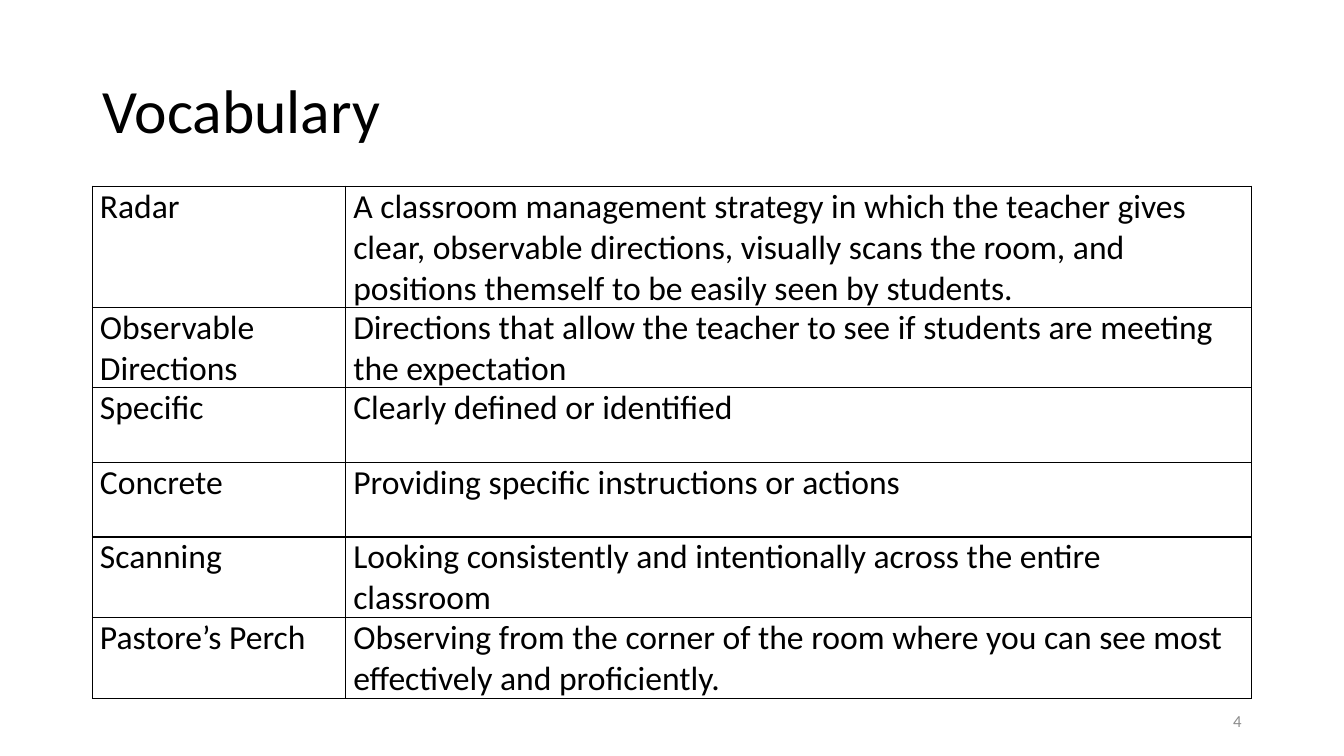
from lxml import etree
from pptx import Presentation
from pptx.dml.color import RGBColor
from pptx.enum.text import MSO_ANCHOR, PP_ALIGN
from pptx.oxml.ns import qn
from pptx.util import Pt

MIDDLE = MSO_ANCHOR.MIDDLE
LEFT, RIGHT = PP_ALIGN.LEFT, PP_ALIGN.RIGHT
FONT = "Calibri"
COLORS = {"text": "000000", "border": "000000", "number": "8C8C8C"}
BLANK_LAYOUT = 6

TITLE_BOX = (66, 28.8, 828, 104.4)
TABLE_BOX = (66, 133, 828, 332.4)
NUMBER_BOX = (678, 500.4, 216, 28.8)
TERM_WIDTH = 181
FIRST_ROW_HEIGHT = 66

VOCABULARY = [
    ("Radar", "A classroom management strategy in which the teacher gives clear, "
     "observable directions, visually scans the room, and positions themself "
     "to be easily seen by students."),
    ("Observable Directions", "Directions that allow the teacher to see if "
     "students are meeting the expectation"),
    ("Specific", "Clearly defined or identified"),
    ("Concrete", "Providing specific instructions or actions"),
    ("Scanning", "Looking consistently and intentionally across the entire classroom"),
    ("Pastore’s Perch", "Observing from the corner of the room where you can see "
     "most effectively and proficiently."),
]


def add_span(para, text, size, color):
    span = para.add_run()
    span.text = text
    span.font.name = FONT
    span.font.size = Pt(size)
    span.font.color.rgb = RGBColor.from_string(COLORS[color])


def add_label(page, box, text, size, color, align=LEFT, line_spacing=1.0):
    frame = page.shapes.add_textbox(*map(Pt, box)).text_frame
    frame.word_wrap = True
    frame.vertical_anchor = MIDDLE
    para = frame.paragraphs[0]
    para.alignment = align
    para.line_spacing = line_spacing
    add_span(para, text, size, color)


def add_borders(cell):
    properties = cell._tc.get_or_add_tcPr()
    for side in ("a:lnL", "a:lnR", "a:lnT", "a:lnB"):
        line = etree.SubElement(properties, qn(side), w=str(Pt(1)))
        fill = etree.SubElement(line, qn("a:solidFill"))
        etree.SubElement(fill, qn("a:srgbClr"), val=COLORS["border"])


def fill_cell(cell, text):
    cell.margin_left = cell.margin_right = Pt(5.4)
    cell.margin_top = cell.margin_bottom = 0
    add_borders(cell)
    cell.fill.background()
    add_span(cell.text_frame.paragraphs[0], text, 24, "text")


def add_vocabulary(page, box):
    width, height = box[2:]
    table = page.shapes.add_table(len(VOCABULARY), 2, *map(Pt, box)).table
    table.first_row = table.horz_banding = False
    table.columns[0].width = Pt(TERM_WIDTH)
    table.columns[1].width = Pt(width - TERM_WIDTH)
    row_height = (height - FIRST_ROW_HEIGHT) / (len(VOCABULARY) - 1)
    for index, entry in enumerate(VOCABULARY):
        table.rows[index].height = Pt(row_height if index else FIRST_ROW_HEIGHT)
        for column, text in enumerate(entry):
            fill_cell(table.cell(index, column), text)


def main():
    deck = Presentation()
    deck.slide_width, deck.slide_height = Pt(960), Pt(540)
    page = deck.slides.add_slide(deck.slide_layouts[BLANK_LAYOUT])
    add_label(page, TITLE_BOX, "Vocabulary", 44, "text", line_spacing=0.9)
    add_vocabulary(page, TABLE_BOX)
    add_label(page, NUMBER_BOX, "4", 12, "number", align=RIGHT)
    deck.save("out.pptx")


if __name__ == "__main__":
    main()
